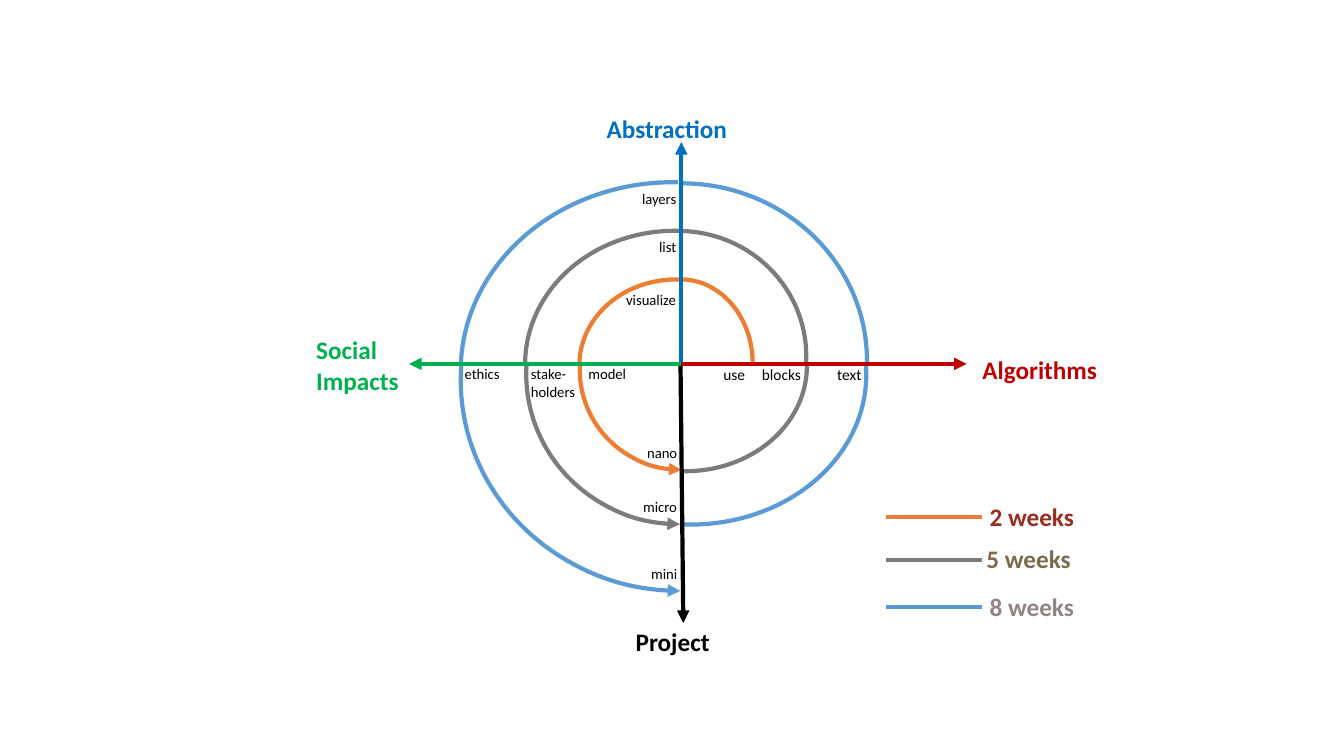
import pptx
import pptx.dml.color
import pptx.enum.shapes
import pptx.enum.text
import pptx.oxml.ns
import pptx.util
import lxml.etree

ORANGE, GREY, BLUE = "ED7D31", "7C7C7C", "5B9BD5"
BLACK, SKY, GREEN, RED = "000000", "0070C0", "00B050", "C00000"
LINE_WIDTH = 3
LINE_HEIGHT = {10.5: 0.71, 11: 0.74, 18: 1.02}

SPIRALS = {
    ORANGE: [
        (15.34, 7.04, 3.63, 4.22, 0, 162, 0.83),
        (14.88, 6.76, 4.32, 4.88, 270, 162, 1.97),
        (14.61, 6.81, 5.13, 5.03, 180, 162, 1.97),
    ],
    GREY: [
        (14.63, 6.17, 5.31, 6.1, 90, 162, 1.97),
        (13.87, 5.82, 6.45, 6.3, 0, 162, 1.97),
        (13.64, 5.41, 6.71, 7.52, 270, 162, 1.97),
        (13.26, 5.64, 7.75, 7.57, 180, 162, 1.97),
    ],
    BLUE: [
        (13.64, 5.03, 7.54, 8.84, 90, 160.16, 1.97),
        (12.5, 4.62, 9.35, 8.94, 0, 161.61, 0.98),
        (12.19, 4.01, 9.53, 10.69, 270, 163.13, 0.92),
        (11.61, 4.27, 11.1, 10.62, 180, 162.11, 2.23),
    ],
}

ROW_TOP = 9.07
ROW_LABELS = [
    (["ethics"], 11.46, 1.42, 10.5),
    (["stake-", "holders"], 13.13, 1.65, 10.5),
    (["model"], 14.58, 1.47, 10.5),
    (["use"], 17.98, 1.07, 11),
    (["blocks"], 18.95, 1.5, 11),
    (["text"], 20.85, 1.14, 11),
]

COLUMN_RIGHT = 17.33
COLUMN_LABELS = [
    ("layers", 4.65, 1.4),
    ("list", 5.87, 0.97),
    ("visualize", 7.21, 1.8),
    ("nano", 11.05, 1.27),
    ("micro", 12.42, 1.37),
    ("mini", 14.1, 1.17),
]

AXIS_TITLES = [
    ("Algorithms", 24.51, 8.81, 4.06, 1.02, RED),
    ("Project", 15.77, 15.67, 2.9, 1.02, BLACK),
    ("Social Impacts", 7.72, 8.31, 2.97, 1.8, GREEN),
    ("Abstraction", 15.04, 2.72, 4.45, 1.02, SKY),
]

LEGEND_START, LEGEND_END = 22.33, 24.74
LEGEND = [
    ("2 weeks", 13.03, ORANGE, 24.69, 12.52, "9B2D1F"),
    ("5 weeks", 14.12, GREY, 24.61, 13.56, "7C6B4D"),
    ("8 weeks", 15.29, BLUE, 24.69, 14.78, "918485"),
]

ORIGIN = (17.17, 9.17)
AXES = [
    ((17.15, 9.14), (17.22, 15.7), BLACK),
    (ORIGIN, (17.17, 3.58), SKY),
    (ORIGIN, (10.31, 9.17), GREEN),
    (ORIGIN, (24.36, 9.17), RED),
]


def lengths(*values):
    return [pptx.util.Cm(value) for value in values]


def paint(color_format, value):
    color_format.rgb = pptx.dml.color.RGBColor.from_string(value)


def assign(target, values):
    for name, value in values.items():
        setattr(target, name, value)


def style_line(shape, color, arrow_end=None):
    paint(shape.line.color, color)
    shape.line.width = pptx.util.Pt(LINE_WIDTH)
    if arrow_end:
        outline = shape.element.spPr.find(pptx.oxml.ns.qn("a:ln"))
        arrow = lxml.etree.SubElement(outline, pptx.oxml.ns.qn("a:" + arrow_end))
        arrow.set("type", "triangle")


def add_arc(page, arc, color):
    left, top, width, height, rotation, start, end = arc
    shape = page.shapes.add_shape(
        pptx.enum.shapes.MSO_SHAPE.ARC, *lengths(left, top, width, height)
    )
    shape.rotation = rotation
    shape.adjustments[0] = start
    shape.adjustments[1] = end
    shape.fill.background()
    shape.shadow.inherit = False
    style_line(shape, color, "headEnd" if rotation == 180 else None)


def add_line(page, start, end, color, arrow_end=None):
    line = page.shapes.add_connector(
        pptx.enum.shapes.MSO_CONNECTOR.STRAIGHT, *lengths(*start, *end)
    )
    style_line(line, color, arrow_end)
    lxml.etree.SubElement(line.element.spPr, pptx.oxml.ns.qn("a:effectLst"))


def add_label(page, lines, frame, size, color=BLACK, bold=False, wrap=False):
    box = page.shapes.add_textbox(*lengths(*frame))
    assign(box.text_frame, {
        "word_wrap": wrap,
        "auto_size": pptx.enum.text.MSO_AUTO_SIZE.SHAPE_TO_FIT_TEXT,
    })
    for index, line in enumerate(lines):
        para = box.text_frame.add_paragraph() if index else box.text_frame.paragraphs[0]
        span = para.add_run()
        span.text = line
        assign(span.font, {"name": "Calibri", "size": pptx.util.Pt(size), "bold": bold})
        paint(span.font.color, color)


def main():
    deck = pptx.Presentation()
    assign(deck, {
        "slide_width": pptx.util.Cm(33.87),
        "slide_height": pptx.util.Cm(19.05),
    })
    page = deck.slides.add_slide(deck.slide_layouts[6])

    for color, arcs in SPIRALS.items():
        for arc in arcs:
            add_arc(page, arc, color)

    for lines, left, width, size in ROW_LABELS:
        height = LINE_HEIGHT[size] + 0.43 * (len(lines) - 1)
        add_label(page, lines, (left, ROW_TOP, width, height), size)

    for word, top, width in COLUMN_LABELS:
        frame = (COLUMN_RIGHT - width, top, width, LINE_HEIGHT[10.5])
        add_label(page, [word], frame, 10.5)

    for title, left, top, width, height, color in AXIS_TITLES:
        add_label(page, [title], (left, top, width, height), 18, color, True, True)

    for label, level, line_color, left, top, color in LEGEND:
        add_line(page, (LEGEND_START, level), (LEGEND_END, level), line_color)
        add_label(page, [label], (left, top, 2.64, LINE_HEIGHT[18]), 18, color, True)

    for start, end, color in AXES:
        add_line(page, start, end, color, "tailEnd")

    deck.save("out.pptx")


if __name__ == "__main__":
    main()
